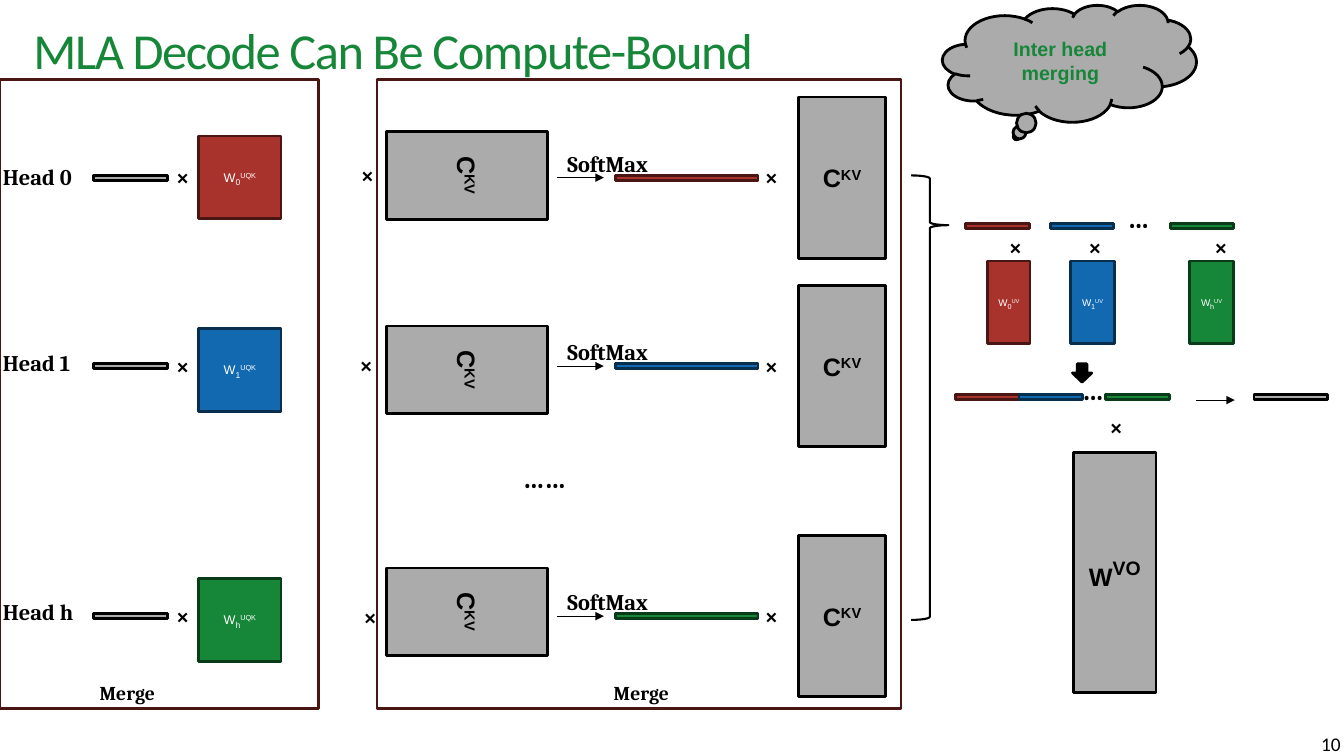
from lxml.etree import SubElement as Sub
from pptx import Presentation
from pptx.dml.color import RGBColor as Rgb
from pptx.enum.shapes import MSO_CONNECTOR as Link, MSO_SHAPE as Form
from pptx.enum.text import MSO_ANCHOR as Anchor, MSO_AUTO_SIZE as Fit, PP_ALIGN as Align
from pptx.oxml.ns import qn
from pptx.util import Pt

HUES = {
    "red": "A8322C", "blue": "1269B0", "green": "168638", "gray": "ABABAB",
    "black": "000000", "white": "FFFFFF",
}
EDGES = {"red": "4A1613", "blue": "082E4D", "green": "0A3B19", "gray": "000000", "black": "000000"}
THIN = 3.6


def write(para, text, font="Cambria", size=16, hue="black", bold=True, base=0, gap=0):
    """Add one formatted run to a paragraph."""
    run = para.add_run()
    run.text = text
    run.font.name, run.font.size, run.font.bold = font, Pt(size), bold
    run.font.color.rgb = Rgb.from_string(HUES[hue])
    props = run._r.get_or_add_rPr()
    if base:
        props.set("baseline", str(base * 1000))
    if gap:
        props.set("spc", str(gap * 100))


class Board:
    """Hold the slide and draw styled elements on it."""

    def __init__(self, deck):
        """Add a title-only slide to the deck."""
        self.slide = deck.slides.add_slide(deck.slide_layouts[5])
        self.shapes = self.slide.shapes

    def title(self, text, x, y, w, h):
        """Place and format the title."""
        head = self.shapes.title
        head.left, head.top, head.width, head.height = map(Pt, (x, y, w, h))
        frame = head.text_frame
        frame.margin_left = frame.margin_right = frame.margin_top = frame.margin_bottom = 0
        frame.vertical_anchor, frame.word_wrap = Anchor.MIDDLE, True
        para = frame.paragraphs[0]
        para.alignment, para.line_spacing = Align.LEFT, 0.9
        write(para, text, font="Calibri", size=36, hue="green", bold=False, gap=-1)

    def shape(self, x, y, w, h, hue=None, edge=None, form=Form.RECTANGLE, line=2, turn=0, adj=()):
        """Draw a preset shape and return its centred paragraph."""
        item = self.shapes.add_shape(form, *map(Pt, (x, y, w, h)))
        item.shadow.inherit = False
        item.rotation = turn
        for spot, value in enumerate(adj):
            item.adjustments[spot] = value
        if hue:
            item.fill.solid()
            item.fill.fore_color.rgb = Rgb.from_string(HUES[hue])
        else:
            item.fill.background()
        item.line.color.rgb = Rgb.from_string(EDGES[edge or hue])
        item.line.width = Pt(line)
        item.text_frame.vertical_anchor = Anchor.MIDDLE
        item.text_frame.word_wrap = True
        para = item.text_frame.paragraphs[0]
        para.alignment = Align.CENTER
        return para

    def bar(self, x, mid, w, hue):
        """Draw a thin vector centred on a height."""
        self.shape(x, mid - THIN / 2, w, THIN, hue)

    def weight(self, x, y, w, h, hue, sub, sup, size, low):
        """Draw a coloured weight matrix with its indexed name."""
        para = self.shape(x, y, w, h, hue)
        for text, pts, base in (("W", size, 0), (sub, low, -25), (sup, size, 30)):
            write(para, text, font="Arial", size=pts, hue="white", bold=False, base=base)

    def block(self, x, y, w, h, name, sup, high=18, turn=0):
        """Draw a gray matrix with a raised suffix."""
        para = self.shape(x, y, w, h, "gray", turn=turn)
        write(para, name, font="Arial", size=18)
        write(para, sup, font="Arial", size=high, base=30)

    def label(self, text, x, y, w, h=26.6, align=Align.LEFT, anchor=Anchor.TOP, fit=True, **style):
        """Place a text box."""
        frame = self.shapes.add_textbox(*map(Pt, (x, y, w, h))).text_frame
        frame.word_wrap, frame.vertical_anchor = True, anchor
        frame.auto_size = Fit.SHAPE_TO_FIT_TEXT if fit else Fit.NONE
        frame.paragraphs[0].alignment = align
        write(frame.paragraphs[0], text, **style)

    def times(self, x, y):
        """Place a multiplication sign."""
        self.label("×", x, y, 23)

    def arrow(self, start, end, y):
        """Draw a level arrow."""
        line = self.shapes.add_connector(Link.STRAIGHT, Pt(start), Pt(y), Pt(end), Pt(y))
        line.line.color.rgb = Rgb.from_string(HUES["black"])
        line.line.width = Pt(0.75)
        props = line._element.spPr
        Sub(props.find(qn("a:ln")), qn("a:tailEnd"), type="triangle")
        Sub(props, qn("a:effectLst"))


def heads(board):
    """Draw the attention row of every head."""
    rows = (
        ("0", "red", 126.9, 126.7, 125.3, 250.6, 111.6, 113),
        ("1", "blue", 261.5, 264.2, 264.2, 249.8, 247, 246.2),
        ("h", "green", 440.1, 442.8, 437, 252.7, 427, 423.4),
    )
    for name, hue, mid, square, key, cross, level, top in rows:
        board.label(f"Head {name}", -5, top, 101.5)
        board.bar(67, mid, 52.6, "gray")
        board.times(118.8, mid - 13.7)
        board.weight(141.8, square - 29.5, 59, 59, hue, name, "UQK", 9, 10.5)
        board.times(cross, level)
        board.block(302.4, key - 57.6, 62.6, 115.2, "C", "KV", turn=90)
        board.arrow(398.2, 431.3, mid)
        board.label("SoftMax", 398.2, mid - 23.2, 101.5)
        board.bar(439.9, mid, 101.5, hue)
        board.times(539.3, mid - 13.7)
        board.block(570.2, mid - 57.6, 62.6, 115.2, "C", "KV")
    board.label("……", 366.5, 325.4, 104.4, 31.7, size=20)
    for x, w, note in ((269.3, 374.4, 431.3), (0, 227.5, 64.1)):
        board.shape(x, 56.9, w, 449.3, edge="red")
        board.label("Merge", note, 483.1, 164.2, 24.5, size=14)


def merge(board):
    """Draw the merging of heads and the output projection."""
    cloud = board.shape(673.2, 3.6, 181.4, 83.5, "gray", form=Form.CLOUD_CALLOUT)
    write(cloud, "Inter head merging", font="Arial", size=14, hue="green")
    board.shape(650.9, 125.3, 26.6, 317.5, edge="black", form=Form.RIGHT_BRACE,
                line=1.5, adj=(0.083, 0.112))
    parts = (
        ("0", "red", 689.8, 713.5, 705.6, 30.2, 682.6),
        ("1", "blue", 750.2, 770.4, 764.6, 31.7, 727.9),
        ("h", "green", 835.9, 860.4, 849.6, 31.7, 789.8),
    )
    for name, hue, x, cross, left, w, joint in parts:
        board.bar(x, 161.6, 45.4, hue)
        board.times(cross, 162.7)
        board.weight(left, 186.5, w, 59, hue, name, "UV", 7, 9)
        board.bar(joint, 283.3, 45.4, hue)
    for x, y in ((798.5, 139.7), (766.1, 262.8)):
        board.label("…", x, y, 34.6, 31.7, size=20)
    board.shape(766.1, 259.9, 13.7, 13, "black", form=Form.DOWN_ARROW)
    board.times(785.5, 291.6)
    board.block(766.8, 323.3, 59, 171.4, "W", "VO", high=24)
    board.arrow(854.6, 882, 285.8)
    board.bar(895.7, 283.3, 52.6, "gray")


def main():
    """Build and save the slide."""
    deck = Presentation()
    deck.slide_width, deck.slide_height = Pt(960), Pt(540)
    board = Board(deck)
    board.title("MLA Decode Can Be Compute-Bound", 23.8, 13.7, 916.6, 49)
    heads(board)
    merge(board)
    board.label("10", 897.8, 518.4, 67, 24.5, align=Align.RIGHT, anchor=Anchor.BOTTOM,
                fit=False, font="Calibri", size=13.8, bold=False)
    deck.save("out.pptx")


if __name__ == "__main__":
    main()
